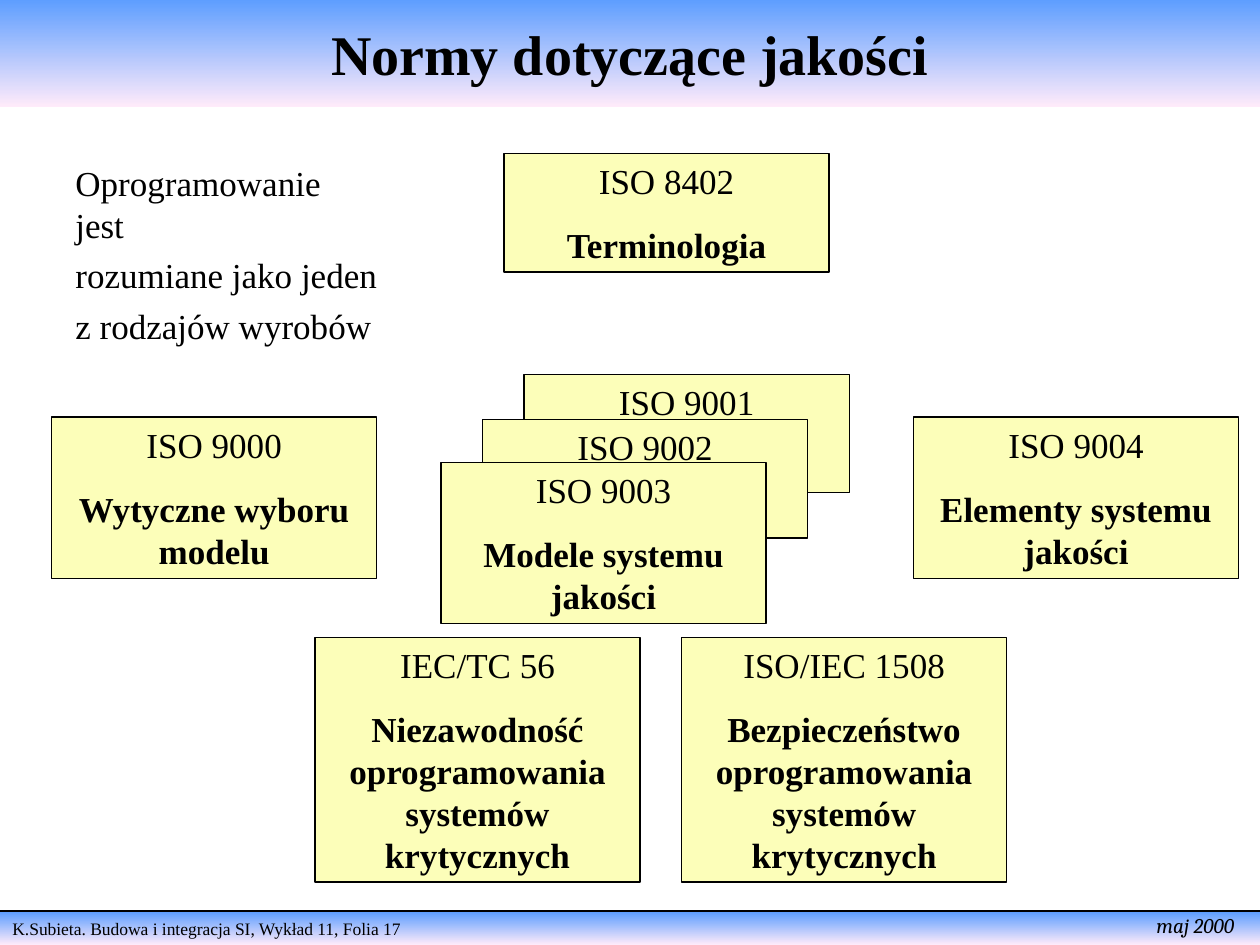
from lxml import etree
from pptx import Presentation
from pptx import util as u
from pptx.dml.color import RGBColor
from pptx.enum import shapes, text
from pptx.oxml.ns import qn

LEFT, CENTER = text.PP_ALIGN.LEFT, text.PP_ALIGN.CENTER


def colour(hex_string):
    return RGBColor.from_string(hex_string)


def write(box, lines, align=LEFT, size=20, face="Times New Roman", bold=(),
          italic=False, gap=0, anchor=text.MSO_ANCHOR.TOP, wrap=True):
    frame = box.text_frame
    frame.word_wrap = wrap
    frame.vertical_anchor = anchor
    for index, line in enumerate(lines):
        para = frame.add_paragraph() if index else frame.paragraphs[0]
        para.alignment = align
        para.space_before = u.Pt(gap if index else 0)
        span = para.add_run()
        span.text = line
        span.font.name = face
        span.font.size = u.Pt(size)
        span.font.bold = index in bold
        span.font.italic = italic
        span.font.color.rgb = colour(Painter.ink)


class Painter:
    """Holds the slide style and draws each kind of element on the page."""

    ink = "000000"
    card_fill = "FCFEB9"
    band_stops = ("5E9EFF", "FFEBFA")
    card_width = 2.58

    def __init__(self, page):
        self.page = page

    def rectangle(self, left, top, width, height):
        box = self.page.shapes.add_shape(
            shapes.MSO_SHAPE.RECTANGLE, u.Inches(left), u.Inches(top),
            u.Inches(width), u.Inches(height))
        box.shadow.inherit = False
        return box

    def band(self, top, height, line, **style):
        box = self.rectangle(0, top, 10, height)
        box.line.fill.background()
        box.fill.gradient()
        box.fill.gradient_angle = 270
        for stop, shade, position in zip(box.fill.gradient_stops, self.band_stops, (0, 1)):
            stop.color.rgb = colour(shade)
            stop.position = position
        write(box, [line], **style)

    def card(self, left, top, height, *lines):
        box = self.rectangle(left, top, self.card_width, height)
        box.fill.solid()
        box.fill.fore_color.rgb = colour(self.card_fill)
        box.line.color.rgb = colour(self.ink)
        box.line.width = u.Pt(0.75)
        write(box, lines, align=CENTER, bold=(1,), gap=12.5)

    def label(self, left, top, width, height, lines, **style):
        box = self.page.shapes.add_textbox(
            u.Inches(left), u.Inches(top), u.Inches(width), u.Inches(height))
        write(box, lines, wrap=False, **style)

    def rule(self, top):
        line = self.page.shapes.add_connector(
            shapes.MSO_CONNECTOR.STRAIGHT, 0, u.Inches(top), u.Inches(10), u.Inches(top))
        line.line.color.rgb = colour(self.ink)
        line.line.width = u.Pt(1)
        etree.SubElement(line._element.spPr, qn("a:effectLst"))


def main():
    deck = Presentation()
    deck.slide_width, deck.slide_height = u.Inches(10), u.Inches(7.5)
    painter = Painter(deck.slides.add_slide(deck.slide_layouts[6]))

    painter.band(7.24, 0.26, "K.Subieta. Budowa i integracja SI, Wykład 11, Folia 17", size=10)
    painter.rule(7.23)
    painter.label(9.08, 7.19, 0.82, 0.3, ["maj 2000"], size=12, face="Cambria", italic=True)
    painter.band(0, 0.85, "Normy dotyczące jakości", align=CENTER, size=32, bold=(0,),
                 anchor=text.MSO_ANCHOR.MIDDLE)

    short, medium, tall = 0.94, 1.28, 1.94
    cards = [
        (4.16, 2.97, short, "ISO 9001"),
        (3.83, 3.33, short, "ISO 9002"),
        (3.5, 3.67, medium, "ISO 9003", "Modele systemu jakości"),
        (7.25, 3.31, medium, "ISO 9004", "Elementy systemu jakości"),
        (0.41, 3.31, medium, "ISO 9000", "Wytyczne wyboru modelu"),
        (4, 1.22, short, "ISO 8402", "Terminologia"),
        (5.41, 5.06, tall, "ISO/IEC 1508", "Bezpieczeństwo oprogramowania systemów krytycznych"),
        (2.5, 5.06, tall, "IEC/TC 56", "Niezawodność oprogramowania systemów krytycznych"),
    ]
    for card in cards:
        painter.card(*card)

    painter.label(0.5, 1.23, 2.6, 1.24,
                  ["Oprogramowanie jest", "rozumiane jako jeden", "z rodzajów wyrobów"], gap=5)
    deck.save("out.pptx")


if __name__ == "__main__":
    main()
